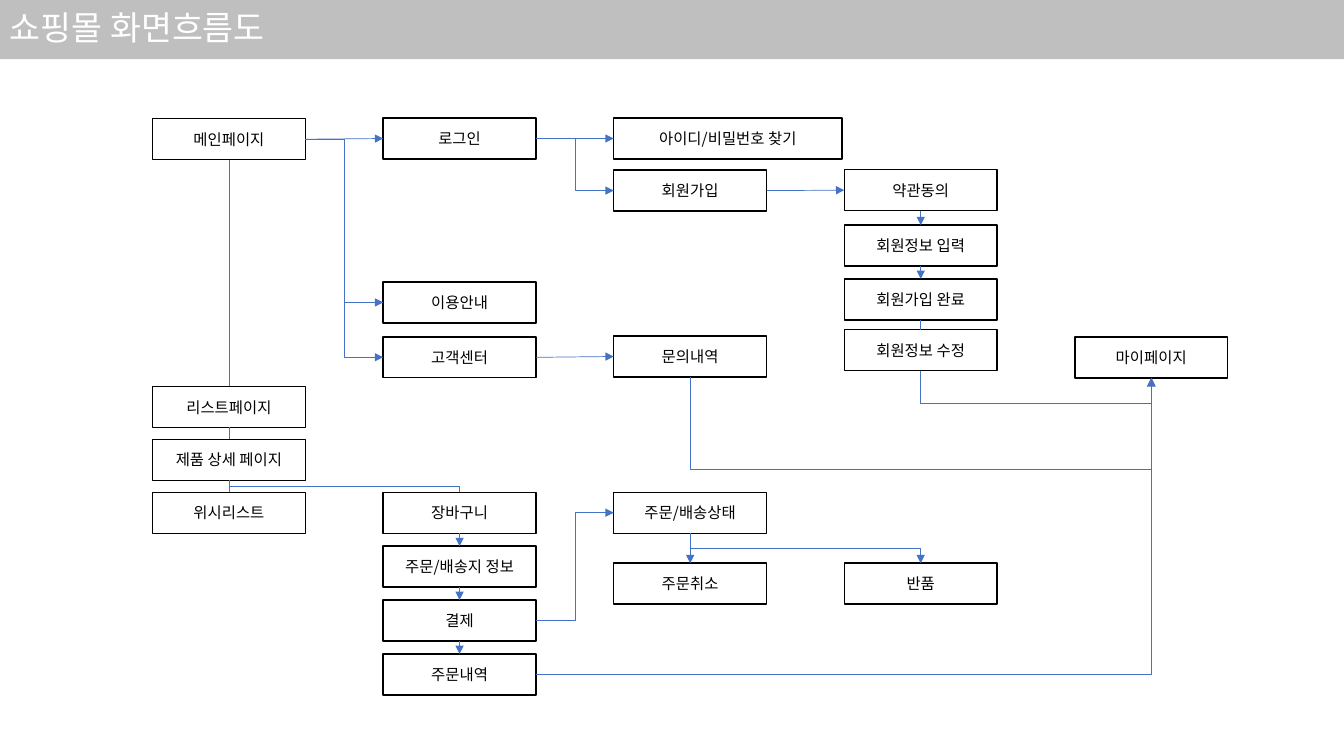
from pptx import Presentation
from pptx.dml.color import RGBColor
from pptx.enum.shapes import MSO_CONNECTOR, MSO_SHAPE
from pptx.enum.text import MSO_ANCHOR, PP_ALIGN
from pptx.oxml.ns import qn
from pptx.util import Pt
from lxml.etree import SubElement

TOP, LEFT, BOTTOM, RIGHT = range(4)  # connection sites of a rectangle


def color(value):
    return RGBColor.from_string(value)


class FlowChart:
    font_name = "Noto Sans CJK KR"
    ink, flow, band, white = "000000", "4472C4", "BFBFBF", "FFFFFF"

    def __init__(self, page):
        self.page = page
        self.nodes = {}

    def box(self, text, left, top, width, height, size, ink, align, fill=None, line=None):
        box = self.page.shapes.add_shape(
            MSO_SHAPE.RECTANGLE, Pt(left), Pt(top), Pt(width), Pt(height))
        box.shadow.inherit = False
        if fill:
            box.fill.solid()
            box.fill.fore_color.rgb = color(fill)
        else:
            box.fill.background()
        if line:
            box.line.color.rgb = color(line)
            box.line.width = Pt(1)
        else:
            box.line.fill.background()
        frame = box.text_frame
        frame.word_wrap = True
        frame.vertical_anchor = MSO_ANCHOR.MIDDLE
        para = frame.paragraphs[0]
        para.alignment = align
        span = para.add_run()
        span.text = text
        span.font.color.rgb = color(ink)
        for name, value in {"name": self.font_name, "size": Pt(size)}.items():
            setattr(span.font, name, value)
        SubElement(span.font._element, qn("a:ea")).set("typeface", self.font_name)
        return box

    def title(self, text):
        box = self.box(text, 0, 0, 960, 42.3, 24, self.white, PP_ALIGN.LEFT, fill=self.band)
        box.text_frame.paragraphs[0].line_spacing = 0.9

    def node(self, text, left, top, width):
        self.nodes[text] = self.box(
            text, left, top, width, 29.3, 11, self.ink, PP_ALIGN.CENTER, line=self.ink)

    def link(self, start, end, sites, kind=MSO_CONNECTOR.STRAIGHT, arrow=True):
        link = self.page.shapes.add_connector(kind, 0, 0, 0, 0)
        link.begin_connect(self.nodes[start], sites[0])
        link.end_connect(self.nodes[end], sites[1])
        link.line.color.rgb = color(self.flow)
        link.line.width = Pt(0.5)
        if arrow:
            SubElement(link.line._get_or_add_ln(), qn("a:tailEnd")).set("type", "triangle")
        SubElement(link._element.spPr, qn("a:effectLst"))
        return link

    def across(self, start, end):
        """Elbow that leaves sideways and arrives sideways."""
        self.link(start, end, (RIGHT, LEFT), MSO_CONNECTOR.ELBOW)

    def corner(self, start, end):
        """Elbow with one turn, sideways and then up."""
        link = self.link(start, end, (RIGHT, BOTTOM), MSO_CONNECTOR.ELBOW)
        link._element.spPr.find(qn("a:prstGeom")).set("prst", "bentConnector2")

    def down(self, start, end, site=TOP, arrow=True, drop=None):
        """Elbow that leaves downwards; drop is the depth of its first leg."""
        link = self.link(start, end, (BOTTOM, site), MSO_CONNECTOR.ELBOW, arrow)
        run, fall = link.width, link.height
        # The preset runs sideways, so it is turned about its centre.
        placing = {"left": link.left + (run - fall) // 2,
                   "top": link.top + (fall - run) // 2,
                   "width": fall, "height": run}
        for name, value in placing.items():
            setattr(link, name, value)
        xfrm = link._element.spPr.find(qn("a:xfrm"))
        xfrm.set("rot", "16200000")
        xfrm.set("flipH", "1")
        if drop:
            guides = link._element.spPr.find(qn("a:prstGeom")).find(qn("a:avLst"))
            guide = SubElement(guides, qn("a:gd"))
            guide.set("name", "adj1")
            guide.set("fmla", f"val {round(Pt(drop) / fall * 100000)}")


deck = Presentation()
deck.slide_width, deck.slide_height = Pt(960), Pt(540)
chart = FlowChart(deck.slides.add_slide(deck.slide_layouts[6]))
chart.title("쇼핑몰 화면흐름도")

# Screens by column, each with its top
columns = [
    {"메인페이지": 84.8, "리스트페이지": 276, "제품 상세 페이지": 313.8, "위시리스트": 351.6},
    {"로그인": 84.3, "이용안내": 201.4, "고객센터": 240.6, "장바구니": 351.6,
     "주문/배송지 정보": 390.1, "결제": 428.6, "주문내역": 467.1},
    {"아이디/비밀번호 찾기": 84.3, "회원가입": 121.5, "문의내역": 240,
     "주문/배송상태": 351.6, "주문취소": 402.3},
    {"약관동의": 121.2, "회원정보 입력": 160.8, "회원가입 완료": 199.2,
     "회원정보 수정": 235.5, "반품": 402.3},
    {"마이페이지": 240.7},
]
for index, screens in enumerate(columns):
    for text, top in screens.items():
        width = 163 if text == "아이디/비밀번호 찾기" else 109.2
        chart.node(text, 109 + 164.7 * index, top, width)

# Straight links: sideways arrows, downward arrows, plain downward lines
sideways = [("메인페이지", "로그인"), ("로그인", "아이디/비밀번호 찾기"),
            ("회원가입", "약관동의"), ("고객센터", "문의내역")]
downward = [("장바구니", "주문/배송지 정보"), ("주문/배송지 정보", "결제"),
            ("결제", "주문내역"), ("주문/배송상태", "주문취소"),
            ("약관동의", "회원정보 입력"), ("회원정보 입력", "회원가입 완료")]
plain = [("메인페이지", "리스트페이지"), ("리스트페이지", "제품 상세 페이지"),
         ("제품 상세 페이지", "위시리스트"), ("회원가입 완료", "회원정보 수정")]
for pairs, sites, arrow in ((sideways, (RIGHT, LEFT), True),
                            (downward, (BOTTOM, TOP), True),
                            (plain, (BOTTOM, TOP), False)):
    for start, end in pairs:
        chart.link(start, end, sites, arrow=arrow)

# Bent links
for start, end in (("메인페이지", "이용안내"), ("메인페이지", "고객센터"),
                   ("로그인", "회원가입"), ("결제", "주문/배송상태")):
    chart.across(start, end)
chart.down("제품 상세 페이지", "장바구니", arrow=False)
chart.down("주문/배송상태", "반품")
chart.down("문의내역", "마이페이지", BOTTOM, drop=65)
chart.down("회원정보 수정", "마이페이지", BOTTOM, drop=23.3)
chart.corner("주문내역", "마이페이지")

deck.save("out.pptx")
